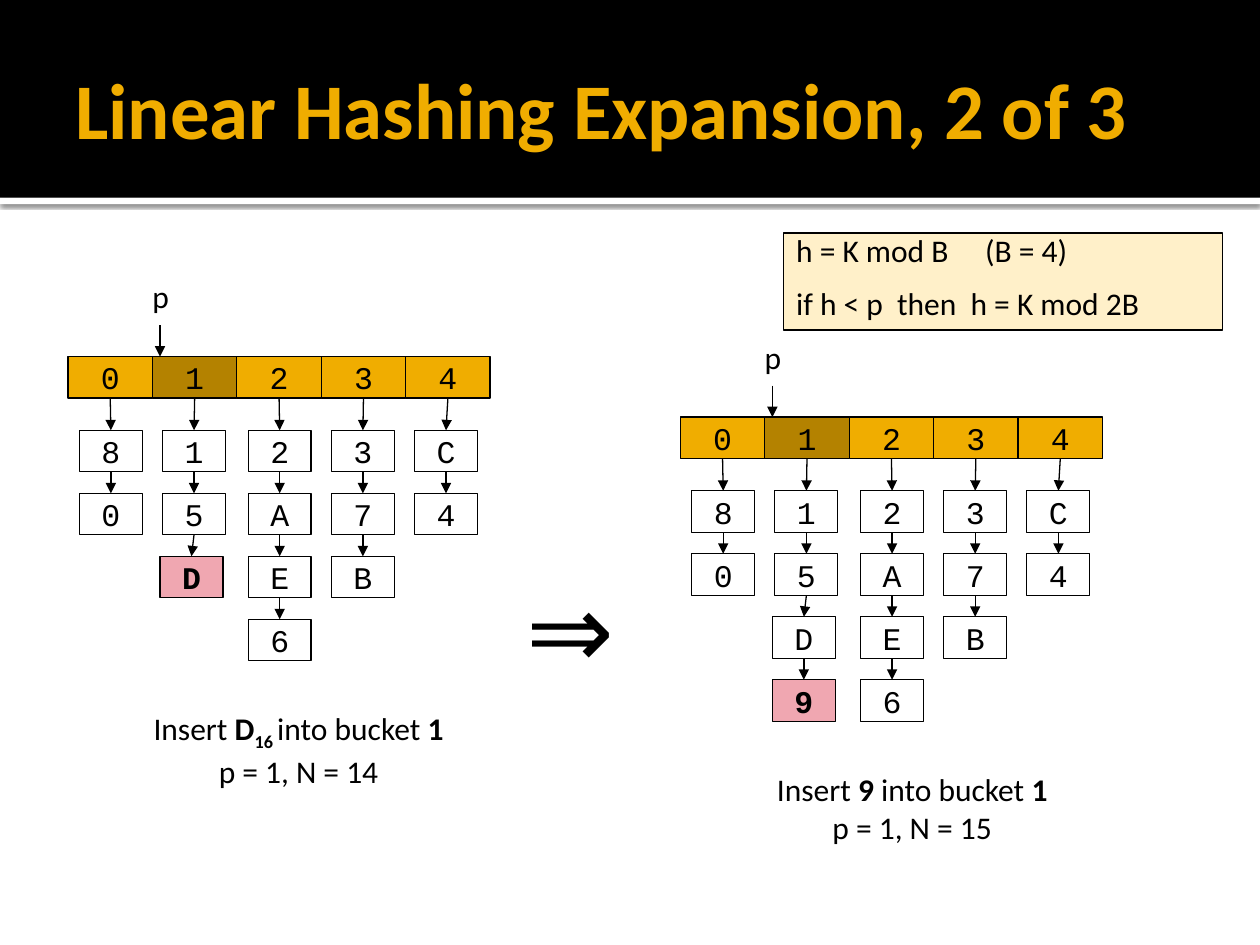
from lxml import etree
from pptx import Presentation
from pptx.dml.color import RGBColor
from pptx.enum.shapes import MSO_CONNECTOR, MSO_SHAPE
from pptx.enum.text import MSO_ANCHOR, PP_ALIGN
from pptx.oxml import parse_xml
from pptx.oxml.ns import nsdecls, qn
from pptx.util import Inches, Pt

LINE = MSO_CONNECTOR.STRAIGHT
RECT = MSO_SHAPE.RECTANGLE
LEFT, CENTER = PP_ALIGN.LEFT, PP_ALIGN.CENTER
TOP, MIDDLE = MSO_ANCHOR.TOP, MSO_ANCHOR.MIDDLE

SANS, MONO = "Calibri", "Courier New"
BLACK, WHITE = "000000", "FFFFFF"
GOLD, BROWN, CREAM, PINK = "F0AD00", "B48200", "FFF0C9", "F0A7B1"
BOLD = {"bold": True}

# Bucket grid, measured from the left top corner of a hash table
CELL_W, CELL_H = 0.67, 0.33
NODE_W, NODE_X, NODE_Y, STEP = 0.5, [0.09, 0.75, 1.43, 2.09, 2.75], 0.585, 0.5


def color(text):
    return RGBColor.from_string(text)


def apply(item, values):
    for name, value in values.items():
        setattr(item, name, value)


def write(shape, paras, size=18, face=SANS, ink=BLACK, align=CENTER,
          anchor=MIDDLE, wrap=False):
    """Each paragraph is a list of (text, font values) pairs."""
    frame = shape.text_frame
    apply(frame, {"word_wrap": wrap, "vertical_anchor": anchor})
    for num, runs in enumerate(paras):
        para = frame.add_paragraph() if num else frame.paragraphs[0]
        para.alignment = align
        for text, form in runs:
            run = para.add_run()
            run.text = text
            apply(run.font, {"size": Pt(size), "name": face, **form})
            run.font.color.rgb = color(ink)
    return frame


def add_text(slide, spot, paras, **form):
    box = slide.shapes.add_textbox(*map(Inches, spot))
    return write(box, paras, **form)


def add_rect(slide, spot, fill=None, edge=BLACK):
    rect = slide.shapes.add_shape(RECT, *map(Inches, spot))
    rect.shadow.inherit = False
    if fill:
        rect.fill.solid()
        rect.fill.fore_color.rgb = color(fill)
    else:
        rect.fill.background()
    if edge:
        rect.line.color.rgb = color(edge)
        rect.line.width = Pt(0.75)
    else:
        rect.line.fill.background()
    return rect


def add_cell(slide, spot, text, fill=None, form=None):
    cell = add_rect(slide, spot, fill)
    write(cell, [[(text, form or {})]], face=MONO)
    return cell


def add_arrow(slide, start, end):
    arrow = slide.shapes.add_connector(LINE, *map(Inches, start + end))
    arrow.line.color.rgb = color(BLACK)
    arrow.line.width = Pt(0.75)
    props = arrow._element.spPr
    etree.SubElement(props.find(qn("a:ln")), qn("a:tailEnd"), type="triangle")
    etree.SubElement(props, qn("a:effectLst"))
    return arrow


def join(slide, upper, lower):
    arrow = add_arrow(slide, (0, 0), (0, 0))
    arrow.begin_connect(upper, 2)
    arrow.end_connect(lower, 0)


def add_table(slide, left, top, chains, fresh):
    """Draw the bucket row, its chains and the split pointer p."""
    for num, chain in enumerate(chains):
        spot = (left + num * CELL_W, top, CELL_W, CELL_H)
        above = add_cell(slide, spot, str(num), BROWN if num == 1 else GOLD)
        for row, key in enumerate(chain):
            # Later nodes of bucket 1 sit slightly to the left
            nudge = 0.02 if num == 1 and row > 1 else 0
            spot = (left + NODE_X[num] - nudge, top + NODE_Y + row * STEP,
                    NODE_W, CELL_H)
            new = key == fresh
            node = add_cell(slide, spot, key, PINK if new else None,
                            BOLD if new else None)
            join(slide, above, node)
            above = node
    add_text(slide, (left + 0.55, top - 0.73, 0.37, 0.5), [[("p", {})]])
    tip = left + 0.73
    add_arrow(slide, (tip, top - 0.25), (tip, top))


def add_title(slide):
    bar = add_rect(slide, (0, 1.57, 10, 0.05), WHITE, None)
    props = bar._element.spPr
    props.remove(props.find(qn("a:effectLst")))
    props.append(parse_xml(
        f'<a:effectLst {nsdecls("a")}><a:outerShdw blurRad="{Pt(2.5)}" '
        f'dist="{Pt(0.8)}" dir="5400000"><a:srgbClr val="{BLACK}">'
        '<a:alpha val="60000"/></a:srgbClr></a:outerShdw></a:effectLst>'))
    add_rect(slide, (0, 0, 10, 1.57), BLACK, None)
    frame = add_text(slide, (0.5, 0.17, 9, 1.37),
                     [[("Linear Hashing Expansion, 2 of 3", BOLD)]],
                     size=45, ink=GOLD, align=LEFT, wrap=True)
    frame.margin_right = Inches(0.05)


def add_rule(slide):
    rect = add_rect(slide, (6.22, 1.85, 3.48, 0.77), CREAM)
    frame = write(rect, [[("h = K mod B\t(B = 4)", {})],
                         [("if h < p  then  h = K mod 2B", {})]],
                  align=LEFT, wrap=True)
    first, second = frame.paragraphs
    first.line_spacing = 0.7
    second.space_before = Pt(9)


def main():
    deck = Presentation()
    deck.slide_width, deck.slide_height = Inches(10), Inches(7.5)
    slide = deck.slides.add_slide(deck.slide_layouts[6])
    add_title(slide)

    # Before: D goes into bucket 1
    add_table(slide, 0.54, 2.83, ["80", "15D", "2AE6", "37B", "C4"], "D")
    frame = add_text(slide, (1.07, 5.59, 2.6, 0.71), [
        [("Insert ", {}), ("D", BOLD), ("16 ", BOLD), ("into bucket ", {}),
         ("1", BOLD)],
        [("p = 1, N = 14", {})]])
    base = frame.paragraphs[0].runs[2]
    base._r.get_or_add_rPr().set("baseline", "-25000")

    # Step between the two states
    add_text(slide, (4.08, 4.42, 0.92, 1.11), [[("⇒", {})]], size=60,
             align=LEFT, anchor=TOP, wrap=True)

    # After: 9 goes into bucket 1
    add_table(slide, 5.4, 3.31, ["80", "15D9", "2AE6", "37B", "C4"], "9")
    add_text(slide, (6.05, 6.06, 2.38, 0.71), [
        [("Insert ", {}), ("9", BOLD), (" into bucket ", {}), ("1", BOLD)],
        [("p = 1, N = 15", {})]])

    add_rule(slide)
    deck.save("out.pptx")


if __name__ == "__main__":
    main()
